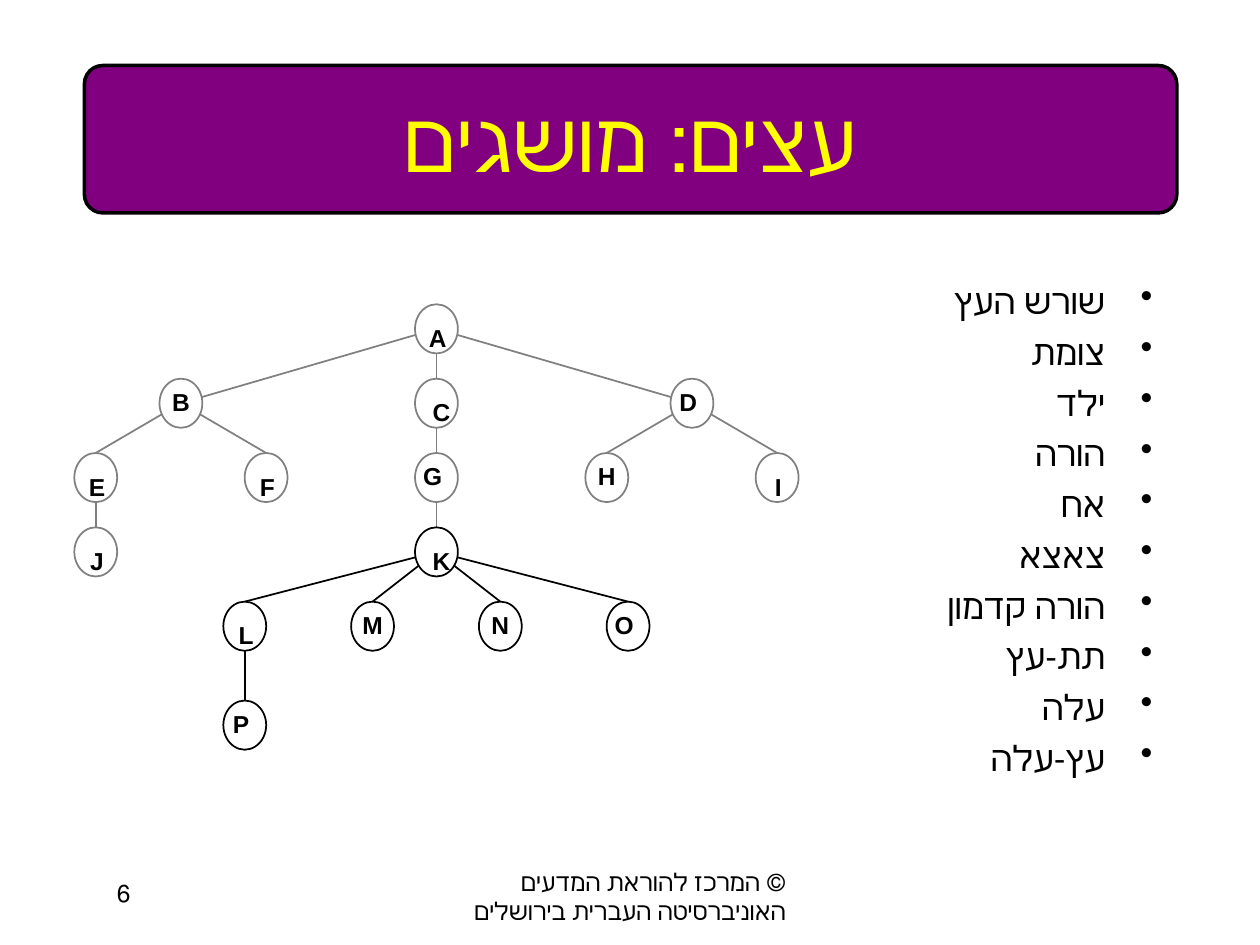
from lxml.etree import SubElement
from pptx import Presentation
from pptx.dml.color import RGBColor
from pptx.enum.shapes import MSO_CONNECTOR, MSO_SHAPE
from pptx.enum.text import MSO_ANCHOR, PP_ALIGN
from pptx.oxml.ns import qn
from pptx.util import Inches, Pt

TITLE = "עצים: מושגים"
TERMS = ["שורש העץ", "צומת", "ילד", "הורה", "אח", "צאצא",
         "הורה קדמון", "תת-עץ", "עלה", "עץ-עלה"]
FOOTER = "© המרכז להוראת המדעים\vהאוניברסיטה העברית בירושלים"
PAGE = "6"

NODES = {
    "A": (4, 0), "B": (1, 1), "C": (4, 1), "D": (7, 1),
    "E": (0, 2), "F": (2, 2), "G": (4, 2), "H": (6, 2), "I": (8, 2),
    "J": (0, 3), "K": (4, 3),
    "L": (1.75, 4), "M": (3.25, 4), "N": (4.75, 4), "O": (6.25, 4),
    "P": (1.75, 5.33),
}
CHILDREN = {"A": "BCD", "B": "EF", "C": "G", "D": "HI", "E": "J",
            "G": "K", "K": "LMNO", "L": "P"}
SUBTREE = "KLMNOP"
JOINED_AT_TOP = "EFHILMNO"
LABEL_SHIFTS = {"AEFIJL": (0.01, 0.08), "CK": (0.04, 0.08),
                "DGOP": (-0.03, 0), "BHMN": (0, 0)}

LEFT, TOP, COLUMN, ROW = 0.76, 2.61, 0.676, 0.59
NODE_WIDTH, NODE_HEIGHT = 0.34, 0.39
BULLET_INDENT = Inches(0.38)


def color(value):
    return RGBColor.from_string(value)


def write(shape, lines, size, font="Times New Roman", fill="000000", bold=False,
          align=PP_ALIGN.CENTER, anchor=MSO_ANCHOR.TOP, rtl=True,
          margins=(0.1, 0.05, 0.1, 0.05), bullets=False, gap=0):
    frame = shape.text_frame
    frame.word_wrap = True
    frame.vertical_anchor = anchor
    (frame.margin_left, frame.margin_top,
     frame.margin_right, frame.margin_bottom) = map(Inches, margins)
    for index, line in enumerate(lines):
        paragraph = frame.add_paragraph() if index else frame.paragraphs[0]
        paragraph.text = line
        paragraph.alignment = align
        if index:
            paragraph.space_before = Pt(gap)
        properties = paragraph._p.get_or_add_pPr()
        if rtl:
            properties.set("rtl", "1")
        if bullets:
            properties.set("marL", str(BULLET_INDENT))
            properties.set("indent", str(-BULLET_INDENT))
            SubElement(properties, qn("a:buChar"), char="•")
        for run in paragraph.runs:
            run.font.name = font
            run.font.size = Pt(size)
            run.font.bold = bold
            run.font.color.rgb = color(fill)


def add_box(slide, left, top, width, height):
    return slide.shapes.add_textbox(*map(Inches, (left, top, width, height)))


def add_outlined(slide, kind, bounds, fill, line, weight):
    shape = slide.shapes.add_shape(kind, *map(Inches, bounds))
    shape.shadow.inherit = False
    shape.fill.solid()
    shape.fill.fore_color.rgb = color(fill)
    shape.line.color.rgb = color(line)
    shape.line.width = Pt(weight)
    return shape


def center(name):
    column, row = NODES[name]
    return LEFT + column * COLUMN, TOP + row * ROW


def branch_color(name):
    return "000000" if name in SUBTREE else "808080"


def add_edge(slide, parent, child):
    end_x, end_y = center(child)
    if child in JOINED_AT_TOP:
        end_y -= NODE_HEIGHT / 2
    edge = slide.shapes.add_connector(
        MSO_CONNECTOR.STRAIGHT, *map(Inches, (*center(parent), end_x, end_y)))
    edge.line.color.rgb = color(branch_color(parent))
    edge.line.width = Pt(1)
    SubElement(edge._element.spPr, qn("a:effectLst"))


def add_node(slide, name):
    x, y = center(name)
    bounds = (x - NODE_WIDTH / 2, y - NODE_HEIGHT / 2, NODE_WIDTH, NODE_HEIGHT)
    node = add_outlined(slide, MSO_SHAPE.OVAL, bounds, "FFFFFF", branch_color(name), 1)
    right, down = next(shift for names, shift in LABEL_SHIFTS.items() if name in names)
    margins = (0.01 + max(2 * right, 0), 0.01 + down, 0.01 + max(-2 * right, 0), 0.01)
    write(node, [name], 14, font="Arial", bold=True, rtl=False, margins=margins)


def main():
    presentation = Presentation()
    presentation.slide_width, presentation.slide_height = Inches(10), Inches(7.5)
    slide = presentation.slides.add_slide(presentation.slide_layouts[6])

    write(add_box(slide, 3.42, 6.83, 3.17, 0.5), [FOOTER], 14,
          align=PP_ALIGN.RIGHT, margins=(0.1, 0.05, 0.35, 0.05))
    write(add_box(slide, 0.83, 6.92, 0.5, 0.5), [PAGE], 14,
          font="Arial", align=PP_ALIGN.LEFT)

    banner = add_outlined(slide, MSO_SHAPE.ROUNDED_RECTANGLE,
                          (0.67, 0.52, 8.67, 1.17), "800080", "000000", 2)
    banner.adjustments[0] = 0.125
    write(banner, [TITLE], 48, fill="FFFF00", anchor=MSO_ANCHOR.MIDDLE)

    write(add_box(slide, 0.75, 2.17, 8.5, 4.5), TERMS, 20,
          align=PP_ALIGN.RIGHT, bullets=True, gap=5)

    for parent, children in CHILDREN.items():
        for child in children:
            add_edge(slide, parent, child)
    for name in NODES:
        add_node(slide, name)

    presentation.save("out.pptx")


if __name__ == "__main__":
    main()
